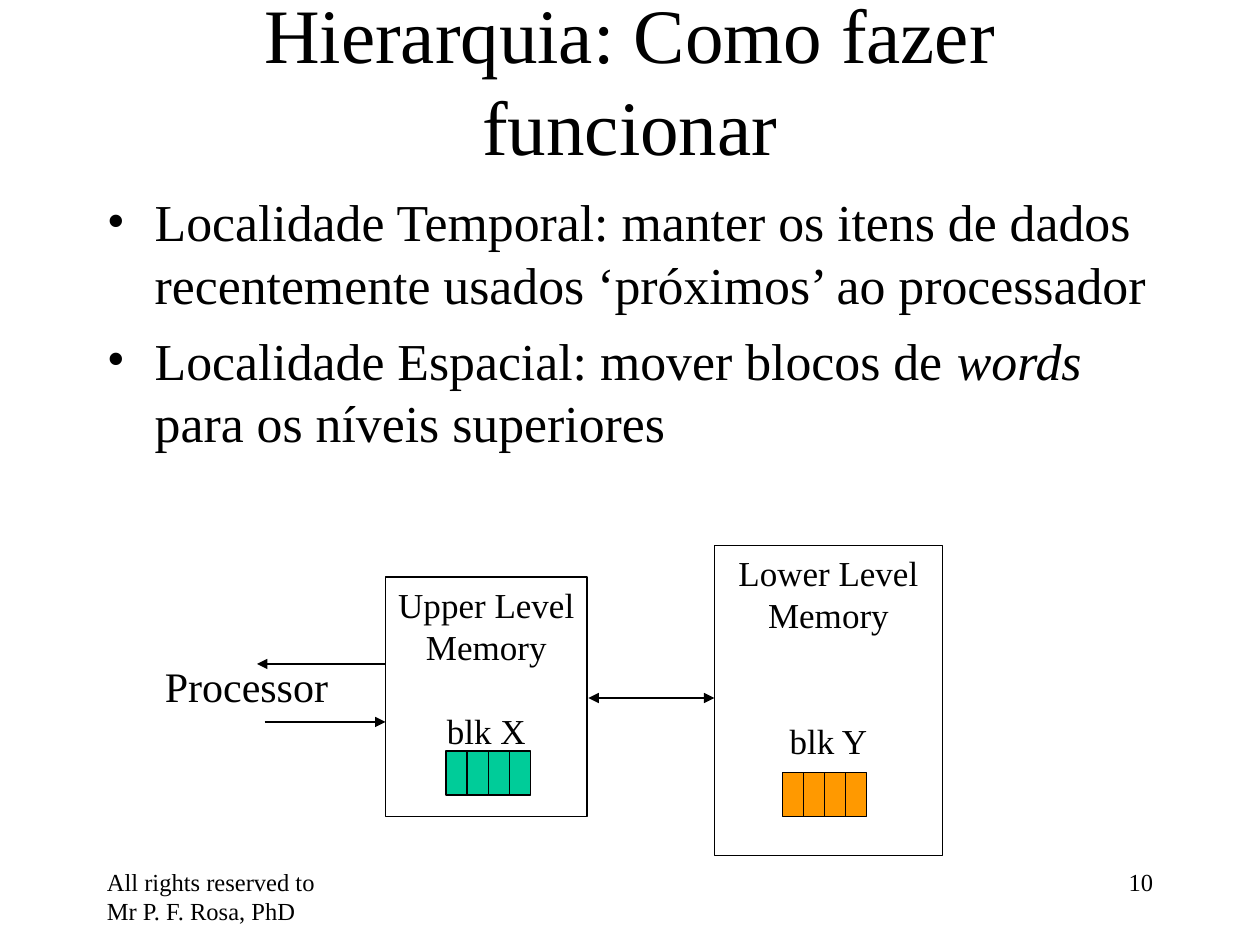
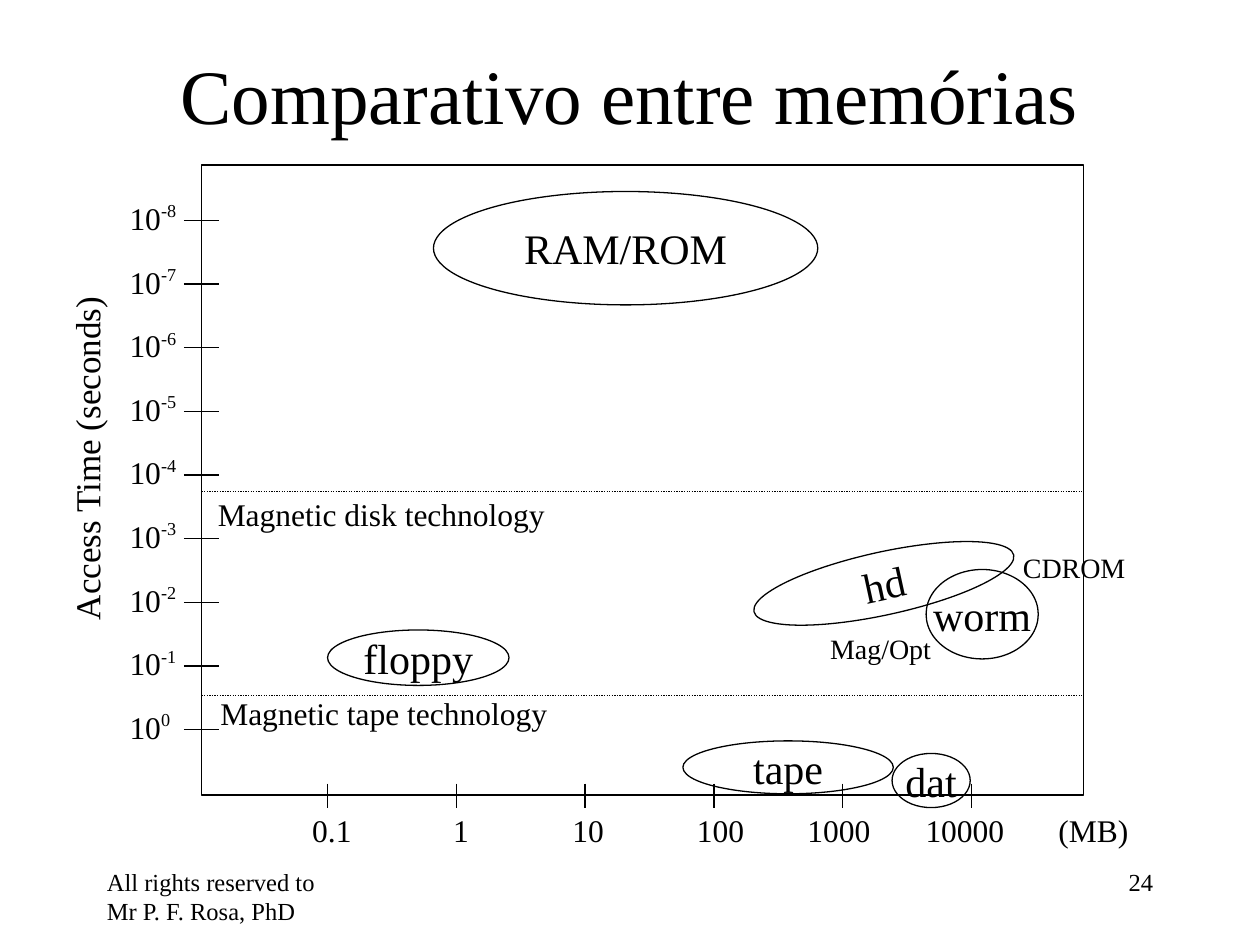
from dataclasses import dataclass

from lxml.etree import SubElement
from pptx import Presentation
from pptx.dml.color import RGBColor
from pptx.enum.dml import MSO_LINE_DASH_STYLE as DASH
from pptx.enum.shapes import MSO_CONNECTOR as CONN, MSO_SHAPE as SHAPE
from pptx.enum.text import MSO_ANCHOR as ANCHOR, MSO_AUTO_SIZE as FIT, PP_ALIGN as ALIGN
from pptx.oxml.ns import qn
from pptx.util import Inches, Pt

COLORS = {"ink": "000000", "paper": "FFFFFF", "upper": "00CC99", "lower": "FF9900"}
FONT = "Times New Roman"
LINE_WIDTH = Pt(0.74)


@dataclass
class Box:
    left: float
    top: float
    width: float
    height: float

    def emu(self) -> list:
        return [Inches(v) for v in (self.left, self.top, self.width, self.height)]


@dataclass
class Memory:
    box: Box
    name: str
    block: str
    gap: int
    cells: Box
    color: str


@dataclass
class Label:
    box: Box
    text: str
    size: float = 18
    rotation: float = 0


@dataclass
class Device:
    box: Box
    name: str
    rotation: float = 0


def rgb(name: str) -> RGBColor:
    return RGBColor.from_string(COLORS[name])


def add_run(p, text: str, size: float, italic: bool = False, raised: bool = False):
    r = p.add_run()
    r.text = text
    r.font.name, r.font.size, r.font.italic = FONT, Pt(size), italic
    r.font.color.rgb = rgb("ink")
    if raised:
        r.font._element.set("baseline", "40000")
    return r


def add_text(s, box: Box, wrap: bool = False):
    sp = s.shapes.add_textbox(*box.emu())
    sp.text_frame.word_wrap = wrap
    sp.text_frame.auto_size = FIT.NONE
    return sp


def add_label(s, label: Label):
    sp = add_text(s, label.box)
    sp.rotation = label.rotation
    add_run(sp.text_frame.paragraphs[0], label.text, label.size)


def add_outline(shapes, kind, box: Box, fill: str = ""):
    sp = shapes.add_shape(kind, *box.emu())
    sp.shadow.inherit = False
    if fill:
        sp.fill.solid()
        sp.fill.fore_color.rgb = rgb(fill)
    else:
        sp.fill.background()
    sp.line.color.rgb, sp.line.width = rgb("ink"), LINE_WIDTH
    sp.text_frame.word_wrap = False
    return sp


def add_line(s, x1: float, y1: float, x2: float, y2: float, ends: tuple = (), dash=None):
    cn = s.shapes.add_connector(CONN.STRAIGHT, *map(Inches, (x1, y1, x2, y2)))
    cn.line.color.rgb, cn.line.width = rgb("ink"), LINE_WIDTH
    if dash:
        cn.line.dash_style = dash
    for end in ends:
        SubElement(cn.line._get_or_add_ln(), qn(f"a:{end}"), type="triangle")
    SubElement(cn._element.spPr, qn("a:effectLst"))


def add_slide(prs, title: str, box: Box, number: int):
    s = prs.slides.add_slide(prs.slide_layouts[5])
    s.background.fill.solid()
    s.background.fill.fore_color.rgb = rgb("paper")
    sp = s.shapes.title
    sp.left, sp.top, sp.width, sp.height = box.emu()
    tf = sp.text_frame
    tf.word_wrap, tf.auto_size, tf.vertical_anchor = True, FIT.NONE, ANCHOR.MIDDLE
    tf.paragraphs[0].alignment = ALIGN.CENTER
    add_run(tf.paragraphs[0], title, 44)
    footers = ((0.75, "All rights reserved to Mr P. F. Rosa, PhD", ALIGN.LEFT),
               (7.17, str(number), ALIGN.RIGHT))
    for left, text, align in footers:
        p = add_text(s, Box(left, 6.83, 2.08, 0.5), wrap=True).text_frame.paragraphs[0]
        p.alignment = align
        add_run(p, text, 14)
    return s


def add_bullets(s, box: Box, bullets: list):
    tf = add_text(s, box, wrap=True).text_frame
    for i, runs in enumerate(bullets):
        p = tf.add_paragraph() if i else tf.paragraphs[0]
        p.space_before = Pt(8)
        pPr = p._p.get_or_add_pPr()
        pPr.set("marL", str(Inches(0.38)))
        pPr.set("indent", str(-Inches(0.38)))
        SubElement(pPr, qn("a:buFont"), typeface=FONT)
        SubElement(pPr, qn("a:buChar"), char="•")
        for text, italic in runs:
            add_run(p, text, 29.6, italic)


def add_memory(s, memory: Memory):
    tf = add_outline(s.shapes, SHAPE.RECTANGLE, memory.box).text_frame
    tf.vertical_anchor = ANCHOR.TOP
    for i, text in enumerate((memory.name, "Memory", memory.block)):
        p = tf.add_paragraph() if i else tf.paragraphs[0]
        p.alignment = ALIGN.CENTER
        add_run(p, text, 20)
    p.space_before = Pt(memory.gap)
    group = s.shapes.add_group_shape()
    cells = memory.cells
    width = cells.width / 4
    for i in range(4):
        cell = Box(cells.left + i * width, cells.top, width, cells.height)
        add_outline(group.shapes, SHAPE.RECTANGLE, cell, memory.color)


def add_device(s, device: Device):
    sp = add_outline(s.shapes, SHAPE.OVAL, device.box)
    sp.rotation = device.rotation
    tf = sp.text_frame
    tf.vertical_anchor = ANCHOR.MIDDLE
    tf.paragraphs[0].alignment = ALIGN.CENTER
    add_run(tf.paragraphs[0], device.name, 24)


def add_time_axis(s):
    pitch = (5.79 - 1.75) / 8
    for i in range(9):
        y = 1.75 + i * pitch
        add_line(s, 1.46, y, 1.74, y)
        p = add_text(s, Box(0.93, y - 0.22, 0.57, 0.4)).text_frame.paragraphs[0]
        add_run(p, "10", 18)
        add_run(p, str(i - 8), 18, raised=True)
    add_label(s, Label(Box(-0.7, 3.41, 2.78, 0.44), "Access Time (seconds)", 20, 270))


def add_size_axis(s):
    for i in range(6):
        x = 2.6 + i * 1.022
        add_line(s, x, 6.22, x, 6.41)
    p = add_text(s, Box(2.38, 6.39, 6.8, 0.4), wrap=True).text_frame.paragraphs[0]
    tabs = SubElement(p._p.get_or_add_pPr(), qn("a:tabLst"))
    for stop in (1.18, 2.19, 3.24, 4.18, 5.18, 6.2):
        SubElement(tabs, qn("a:tab"), pos=str(Inches(stop)), algn="ctr")
    add_run(p, "\t".join(("0.1", "1", "10", "100", "1000", "10000", "(MB)")), 18)


def build_hierarchy(prs):
    s = add_slide(prs, "Hierarquia: Como fazer funcionar", Box(0.75, 0, 8.5, 1.25), 10)
    add_bullets(s, Box(0.75, 1.46, 8.5, 2.83), [
        [("Localidade Temporal: manter os itens de dados recentemente usados "
          "‘próximos’ ao processador", False)],
        [("Localidade Espacial: mover blocos de ", False), ("words", True),
         (" para os níveis superiores", False)],
    ])
    add_memory(s, Memory(Box(3.06, 4.58, 1.6, 1.9), "Upper Level", "blk X", 24,
                         Box(3.54, 5.96, 0.67, 0.35), "upper"))
    add_memory(s, Memory(Box(5.67, 4.33, 1.81, 2.46), "Lower Level", "blk Y", 48,
                         Box(6.21, 6.13, 0.67, 0.35), "lower"))
    add_line(s, 3.06, 5.27, 2.04, 5.27, ("tailEnd",))
    add_line(s, 2.1, 5.73, 3.06, 5.73, ("tailEnd",))
    add_line(s, 4.67, 5.54, 5.67, 5.54, ("headEnd", "tailEnd"))
    add_label(s, Label(Box(1.21, 5.19, 1.55, 0.5), "Processor", 24))


def build_comparison(prs):
    s = add_slide(prs, "Comparativo entre memórias", Box(0.75, 0.25, 8.5, 0.98), 24)
    add_outline(s.shapes, SHAPE.RECTANGLE, Box(1.6, 1.31, 7, 5))
    for y in (3.9, 5.52):
        add_line(s, 1.6, y, 8.6, y, dash=DASH.ROUND_DOT)
    add_time_axis(s)
    add_size_axis(s)
    for device in (
        Device(Box(5.42, 5.88, 1.67, 0.42), "tape"),
        Device(Box(7.08, 5.98, 0.62, 0.43), "dat"),
        Device(Box(2.6, 5, 1.44, 0.44), "floppy"),
        Device(Box(5.96, 4.38, 2.11, 0.5), "hd", 347.7),
        Device(Box(7.35, 4.52, 0.89, 0.71), "worm"),
        Device(Box(3.44, 1.52, 3.05, 0.9), "RAM/ROM"),
    ):
        add_device(s, device)
    for label in (
        Label(Box(1.65, 5.46, 2.85, 0.4), "Magnetic tape technology"),
        Label(Box(1.63, 3.88, 2.85, 0.4), "Magnetic disk technology"),
        Label(Box(8.02, 4.32, 1.05, 0.37), "CDROM", 16),
        Label(Box(6.49, 4.96, 1.05, 0.37), "Mag/Opt", 16),
    ):
        add_label(s, label)


prs = Presentation()
prs.slide_width, prs.slide_height = Inches(10), Inches(7.5)
build_hierarchy(prs)
build_comparison(prs)
prs.save("out.pptx")
